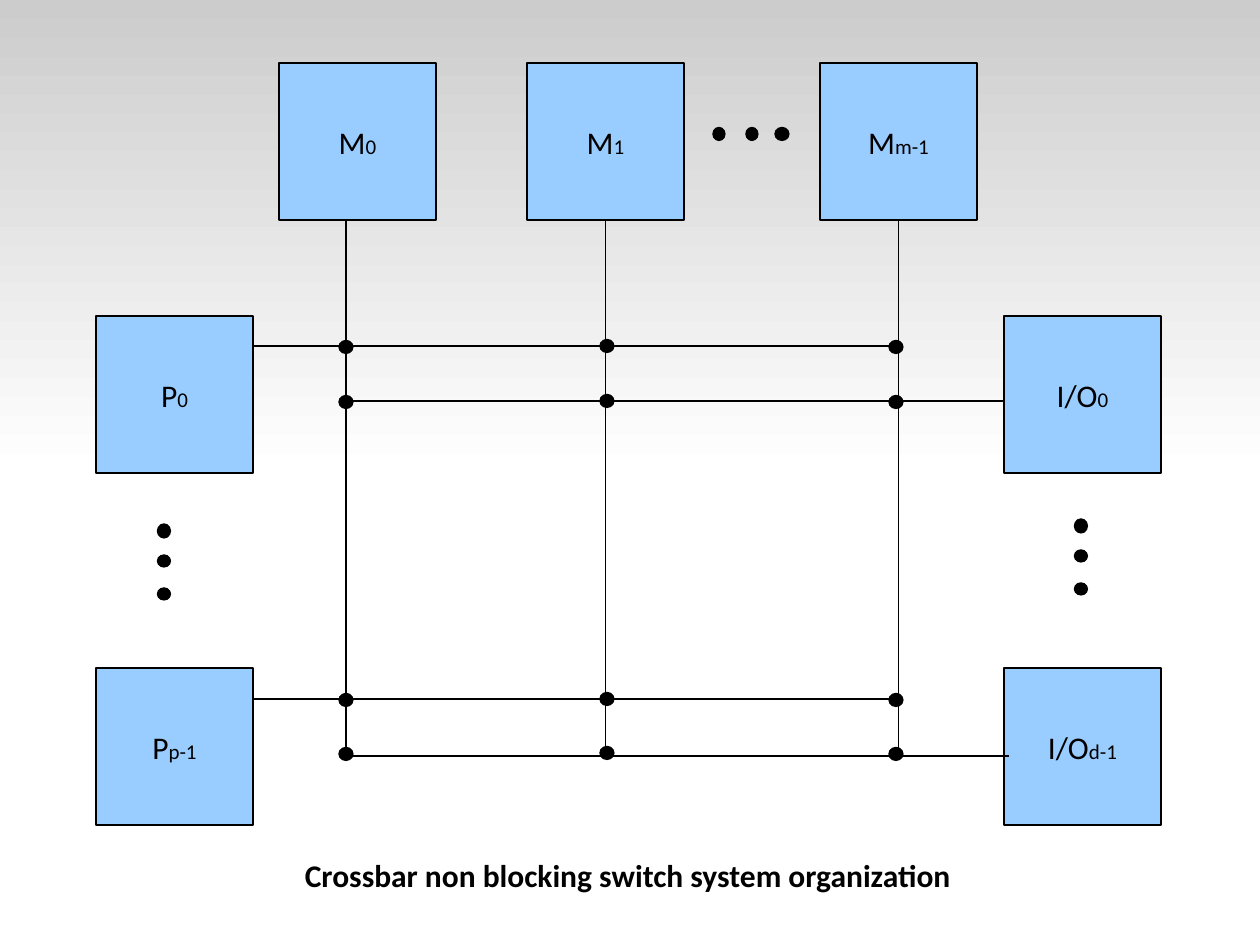
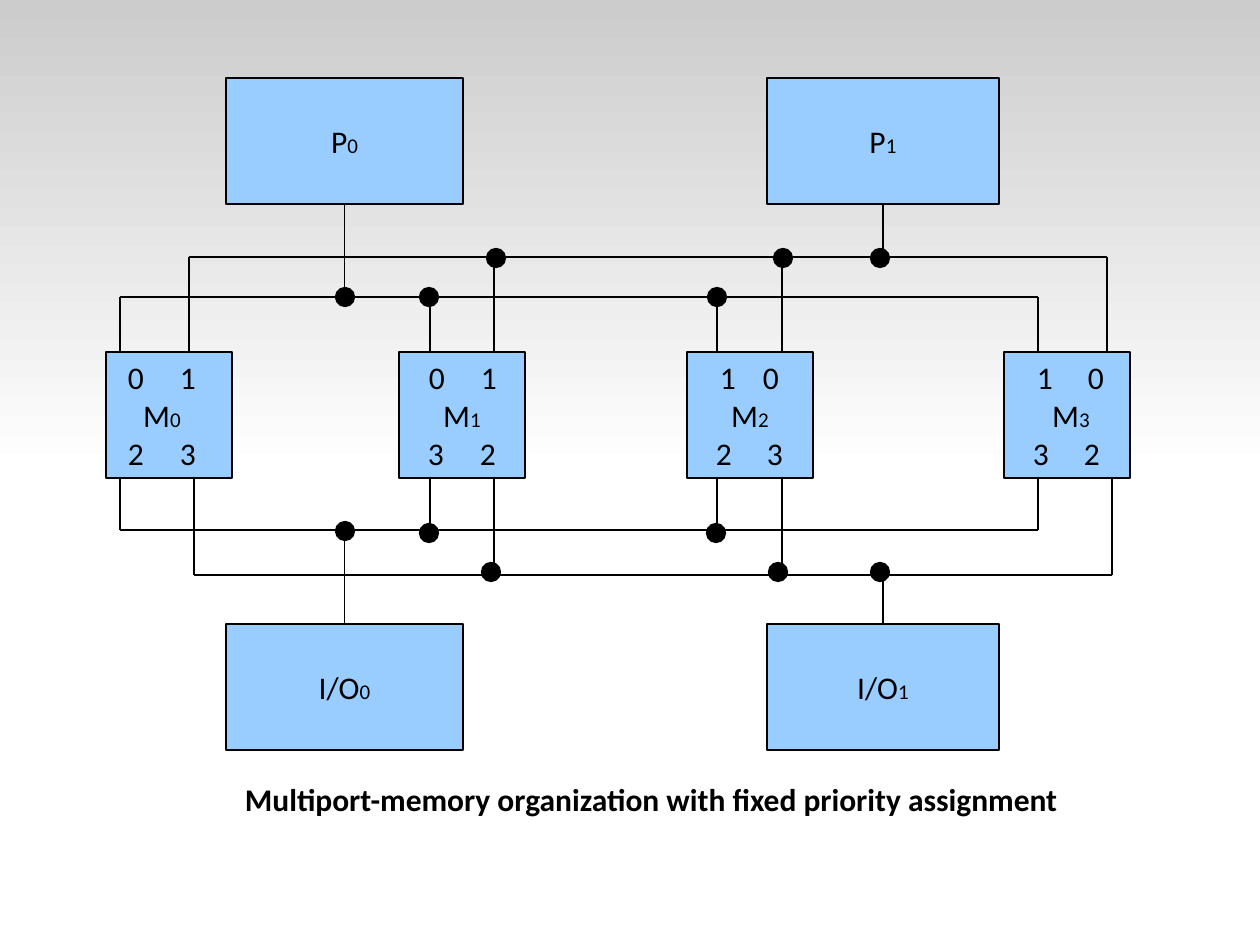
"""Build two diagrams of multiprocessor interconnection: crossbar switch and multiport memory."""
import pptx
import pptx.dml.color
import pptx.enum.shapes
import pptx.enum.text
import pptx.oxml.ns
import pptx.util
from lxml import etree

RGBColor = pptx.dml.color.RGBColor
BLACK = RGBColor(0x00, 0x00, 0x00)
WHITE = RGBColor(0xFF, 0xFF, 0xFF)
BAND_GREY = RGBColor(0xCC, 0xCC, 0xCC)
BOX_BLUE = RGBColor(0x99, 0xCC, 0xFF)
FONT = "Calibri"
LABEL_SIZE, INDEX_SIZE = 18, 12
SCALE = 914400 // 126
SLIDE_WIDTH, SLIDE_HEIGHT = 1260, 945
TOP, BOTTOM = 0, 2
RECTANGLE = pptx.enum.shapes.MSO_SHAPE.RECTANGLE
OVAL = pptx.enum.shapes.MSO_SHAPE.OVAL

UNIT = 157
MEMORY_UNITS = [("M", "0", 279, 63), ("M", "1", 527, 63), ("M", "m-1", 820, 63)]
SIDE_UNITS = [
    ("P", "0", 96, 316), ("P", "p-1", 96, 668),
    ("I/O", "0", 1004, 316), ("I/O", "d-1", 1004, 668),
]
CROSSBAR_ROWS = [(346, 253, 898), (401, 346, 1004), (699, 253, 898), (756, 345, 1009)]
CROSSBAR_BOTTOM = 756
FIRST_COLUMN = 346
CROSSPOINT_COLUMNS = [(346, 1), (607, 0), (896, 1)]
CROSSPOINT_ROWS = [346, 401, 699, 753]
ELLIPSES = [(782, 134, -1, 0), (164, 531, 0, 1), (1081, 526, 0, 1)]
ELLIPSIS_DOTS = [(0, 14), (30, 12), (63, 12)]

PORT_UNIT_HEIGHT = 126
PROCESSORS = [
    ("P", "0", 226, 78, 237, BOTTOM, 298), ("P", "1", 767, 78, 232, BOTTOM, 258),
    ("I/O", "0", 226, 624, 237, TOP, 528), ("I/O", "1", 767, 624, 232, TOP, 572),
]
MEMORY_TOP = 352
PORT_MEMORIES = [
    (106, "0", 56, [("0", 30), ("1", 82)], [("2", 30), ("3", 82)]),
    (399, "1", 63, [("0", 38), ("1", 90)], [("3", 37), ("2", 89)]),
    (687, "2", 63, [("1", 41), ("0", 84)], [("2", 37), ("3", 88)]),
    (1004, "3", 67, [("1", 41), ("0", 92)], [("3", 37), ("2", 88)]),
]
BUSES = [
    {"y": 257, "edge": 352, "drops": [189, 494, 782, 1107],
     "dots": [(496, 258), (783, 258), (880, 258)]},
    {"y": 297, "edge": 352, "drops": [120, 430, 717, 1038],
     "dots": [(345, 297), (429, 297), (717, 297)]},
    {"y": 530, "edge": 478, "drops": [120, 430, 717, 1038],
     "dots": [(345, 531), (429, 533), (716, 533)]},
    {"y": 575, "edge": 478, "drops": [194, 494, 782, 1112],
     "dots": [(491, 572), (778, 572), (880, 572)]},
]


def px(length):
    return pptx.util.Emu(int(length * SCALE))


def style_line(line):
    line.color.rgb = BLACK
    line.width = pptx.util.Pt(0.75)


def add_shape(slide, kind, left, top, width, height, color):
    shape = slide.shapes.add_shape(kind, px(left), px(top), px(width), px(height))
    shape.shadow.inherit = False
    shape.fill.solid()
    shape.fill.fore_color.rgb = color
    style_line(shape.line)
    return shape


def add_dot(slide, x, y, width, height):
    add_shape(slide, OVAL, x - width / 2, y - height / 2, width, height, BLACK)


def add_line(slide, start, end, unit=None, side=None):
    connector = slide.shapes.add_connector(
        pptx.enum.shapes.MSO_CONNECTOR.STRAIGHT, *map(px, start + end))
    if unit is not None:
        connector.begin_connect(unit, side)
    style_line(connector.line)
    etree.SubElement(connector.element.spPr, pptx.oxml.ns.qn("a:effectLst"))


def add_run(paragraph, text, size=LABEL_SIZE, bold=False):
    run = paragraph.add_run()
    run.text = text
    values = {"name": FONT, "size": pptx.util.Pt(size), "bold": bold}
    for name, value in values.items():
        setattr(run.font, name, value)
    run.font.color.rgb = BLACK


def add_unit(slide, name, index, left, top, width, height):
    unit = add_shape(slide, RECTANGLE, left, top, width, height, BOX_BLUE)
    unit.text_frame.word_wrap = False
    paragraph = unit.text_frame.paragraphs[0]
    paragraph.alignment = pptx.enum.text.PP_ALIGN.CENTER
    add_run(paragraph, name)
    add_run(paragraph, index, INDEX_SIZE)
    return unit


def add_tab_stops(paragraph, positions):
    properties = paragraph._p.get_or_add_pPr()
    stops = etree.SubElement(properties, pptx.oxml.ns.qn("a:tabLst"))
    for position in positions:
        etree.SubElement(stops, pptx.oxml.ns.qn("a:tab"), pos=str(px(position)), algn="ctr")


def add_port_memory(slide, left, index, name_at, upper_ports, lower_ports):
    unit = add_shape(slide, RECTANGLE, left, MEMORY_TOP, PORT_UNIT_HEIGHT,
                     PORT_UNIT_HEIGHT, BOX_BLUE)
    frame = unit.text_frame
    values = {"word_wrap": True, "margin_left": 0, "margin_right": 0}
    for name, value in values.items():
        setattr(frame, name, value)
    rows = [upper_ports, [("M", name_at)], lower_ports]
    for number, row in enumerate(rows):
        paragraph = frame.add_paragraph() if number else frame.paragraphs[0]
        paragraph.alignment = pptx.enum.text.PP_ALIGN.LEFT
        add_tab_stops(paragraph, [position for _, position in row])
        for text, _ in row:
            add_run(paragraph, "\t" + text)
        if row is rows[1]:
            add_run(paragraph, index, INDEX_SIZE)


def add_slide(presentation, caption, left, top, width):
    slide = presentation.slides.add_slide(presentation.slide_layouts[5])
    title = slide.shapes.title
    place = {"left": left, "top": top, "width": width, "height": 50}
    for name, value in place.items():
        setattr(title, name, px(value))
    frame = title.text_frame
    values = {"word_wrap": True, "auto_size": pptx.enum.text.MSO_AUTO_SIZE.NONE,
              "vertical_anchor": pptx.enum.text.MSO_ANCHOR.TOP}
    for name, value in values.items():
        setattr(frame, name, value)
    paragraph = frame.paragraphs[0]
    paragraph.alignment = pptx.enum.text.PP_ALIGN.CENTER
    add_run(paragraph, caption, bold=True)
    return slide


def add_master_band(presentation, slide):
    band = add_shape(slide, RECTANGLE, 0, 0, SLIDE_WIDTH, SLIDE_HEIGHT / 2, WHITE)
    band.line.fill.background()
    band.fill.gradient()
    band.fill.gradient_angle = 270
    for stop, color, position in zip(band.fill.gradient_stops, (BAND_GREY, WHITE), (0, 1)):
        stop.color.rgb = color
        stop.position = position
    band.element.nvSpPr.cNvPr.set("id", "20")
    presentation.slide_master.shapes.element.insert(2, band.element)


def draw_crossbar(slide):
    for name, index, left, top in SIDE_UNITS:
        add_unit(slide, name, index, left, top, UNIT, UNIT)
    for y, left, right in CROSSBAR_ROWS:
        add_line(slide, (left, y), (right, y))
    for number, (name, index, left, top) in enumerate(MEMORY_UNITS):
        unit = add_unit(slide, name, index, left, top, UNIT, UNIT)
        if number:
            x = left + UNIT / 2
            add_line(slide, (x, top + UNIT), (x, CROSSBAR_BOTTOM), unit, BOTTOM)
        else:
            add_line(slide, (FIRST_COLUMN, top + UNIT), (FIRST_COLUMN, CROSSBAR_BOTTOM))
    for x, drop in CROSSPOINT_COLUMNS:
        for y in CROSSPOINT_ROWS:
            add_dot(slide, x, y + drop, 14, 13)
    for x, y, step_x, step_y in ELLIPSES:
        for offset, length in ELLIPSIS_DOTS:
            width, height = (length, 13) if step_x else (13, length)
            add_dot(slide, x + step_x * offset, y + step_y * offset, width, height)


def draw_multiport(slide):
    for name, index, left, top, width, side, trunk_end in PROCESSORS:
        unit = add_unit(slide, name, index, left, top, width, PORT_UNIT_HEIGHT)
        x = left + width / 2
        y = top + PORT_UNIT_HEIGHT if side == BOTTOM else top
        add_line(slide, (x, y), (x, trunk_end), unit, side)
    for memory in PORT_MEMORIES:
        add_port_memory(slide, *memory)
    for bus in BUSES:
        drops = bus["drops"]
        add_line(slide, (drops[0], bus["y"]), (drops[-1], bus["y"]))
        for x in drops:
            add_line(slide, (x, bus["edge"]), (x, bus["y"]))
        for x, y in bus["dots"]:
            add_dot(slide, x, y, 19, 19)


def main():
    presentation = pptx.Presentation()
    presentation.slide_width = px(SLIDE_WIDTH)
    presentation.slide_height = px(SLIDE_HEIGHT)
    crossbar = add_slide(
        presentation, "Crossbar non blocking switch system organization", 108, 850, 1040)
    add_master_band(presentation, crossbar)
    draw_crossbar(crossbar)
    multiport = add_slide(
        presentation, "Multiport-memory organization with fixed priority assignment",
        53, 774, 1197)
    draw_multiport(multiport)
    presentation.save("out.pptx")


if __name__ == "__main__":
    main()
